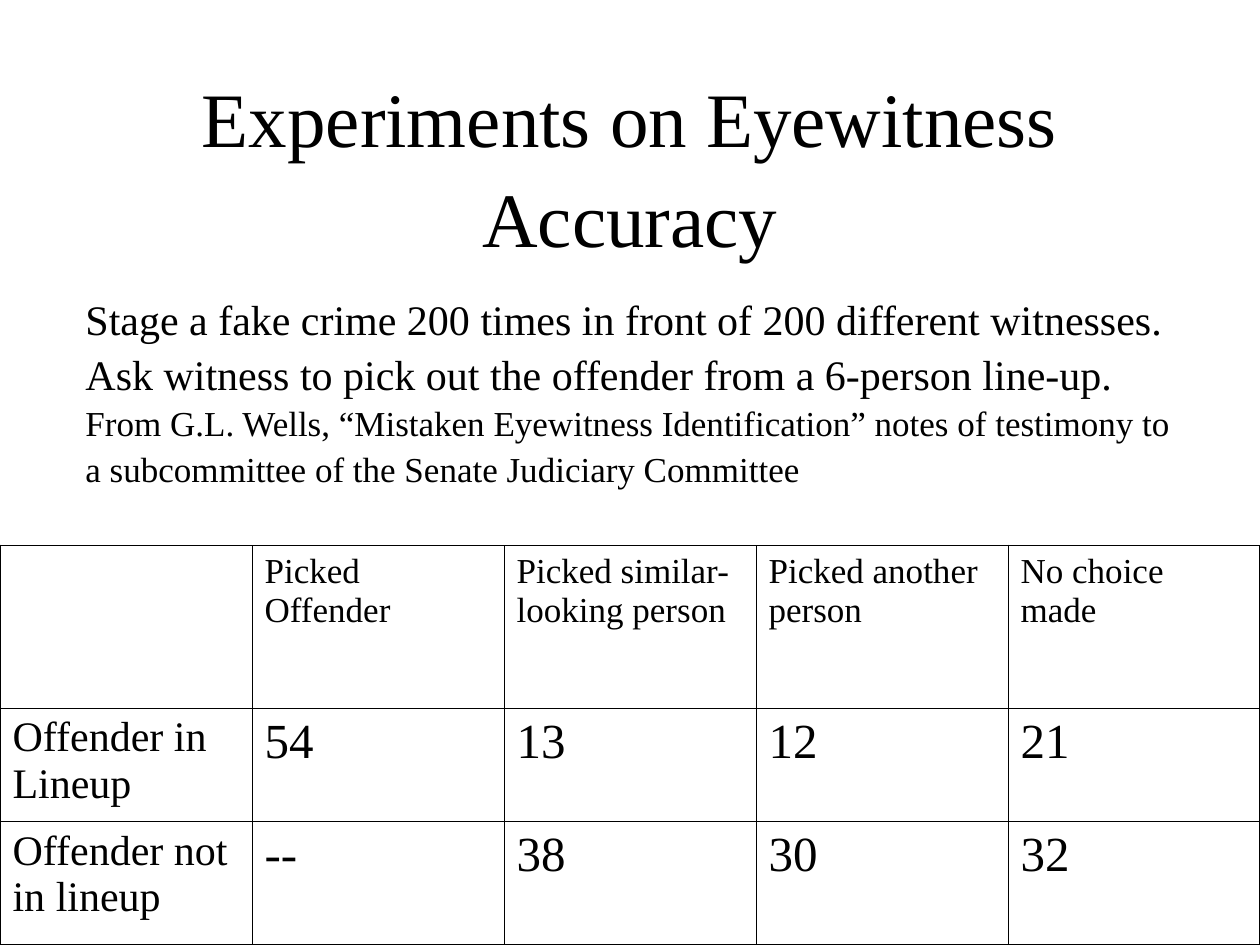
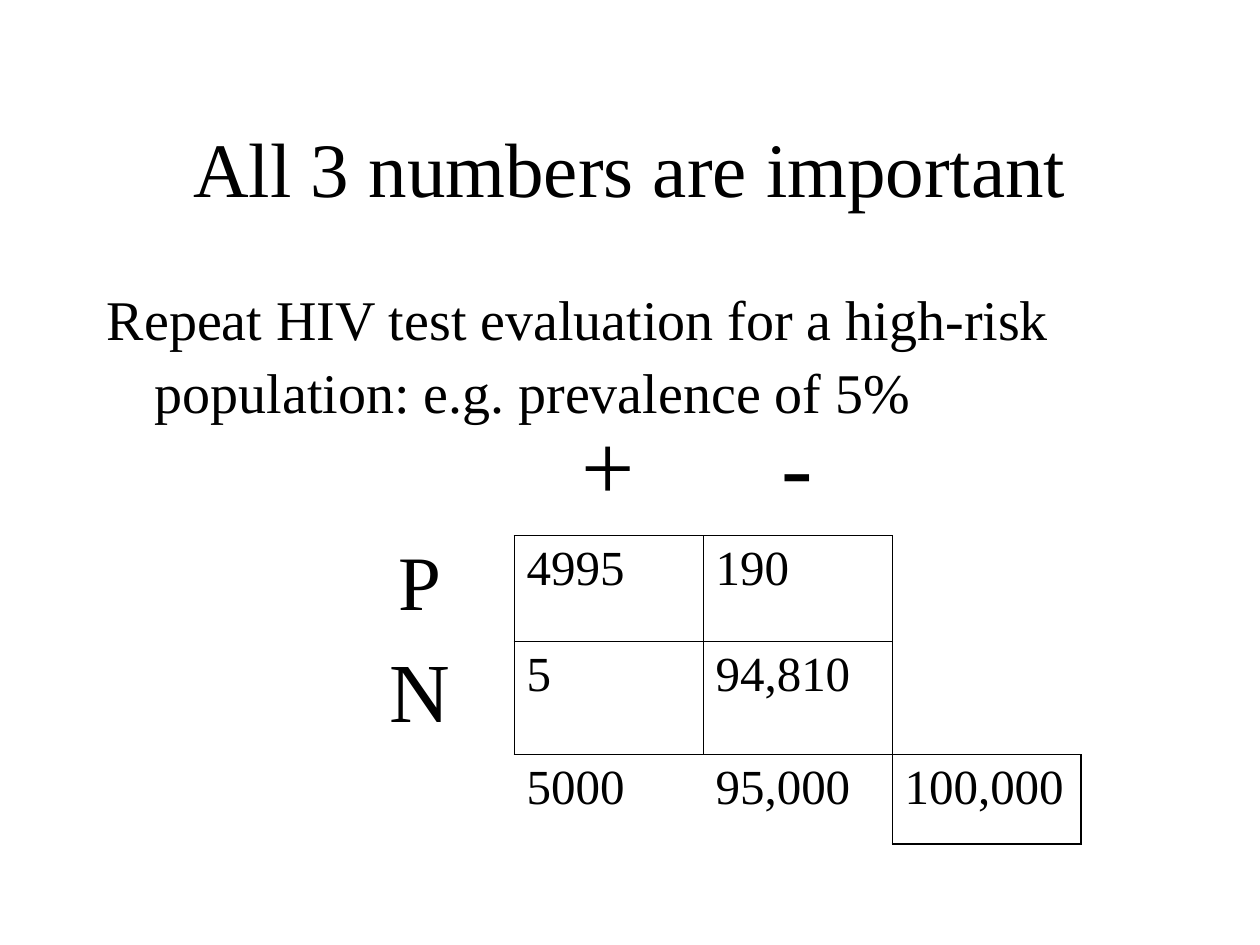
from lxml import etree
from pptx import Presentation
from pptx.dml.color import RGBColor
from pptx.enum.text import MSO_ANCHOR, PP_ALIGN
from pptx.oxml.ns import qn
from pptx.util import Inches, Pt

FONT = "Times New Roman"
INK = RGBColor(0x00, 0x00, 0x00)
PAPER = RGBColor(0xFF, 0xFF, 0xFF)
LEFT, MID = PP_ALIGN.LEFT, PP_ALIGN.CENTER
TOP, CENTER = MSO_ANCHOR.TOP, MSO_ANCHOR.MIDDLE
THIN, THICK = 0.45, 1.08
LEAD = 1.08

# Content: text as (words, size) runs, table cells as (words, size, align)
WITNESS = {
    "title": "Experiments on Eyewitness Accuracy",
    "body": [
        ("Stage a fake crime 200 times in front of 200 different witnesses.  "
         "Ask witness to pick out the offender from a 6-person line-up.  ", 24),
        ("From G.L. Wells, “Mistaken Eyewitness Identification” notes of "
         "testimony to a subcommittee of the Senate Judiciary Committee", 20),
    ],
    "box": (0.58, 2.25, 8.92, 1.57),
    "hang": 0,
    "before": 12.5,
    "at": (0, 4.33),
    "col": 2,
    "rows": [1.29, 0.9, 0.98],
    "cells": [
        [None] + [(head, 20, LEFT) for head in (
            "Picked Offender", "Picked similar-looking person",
            "Picked another person", "No choice made")],
        [("Offender in Lineup", 24, LEFT)]
        + [(count, 28, LEFT) for count in ("54", "13", "12", "21")],
        [("Offender not in lineup", 24, LEFT)]
        + [(count, 28, LEFT) for count in ("--", "38", "30", "32")],
    ],
    "boxed": {(row, col) for row in range(3) for col in range(5)},
    "light": {(0, 1), (0, 2)},
}

HIV = {
    "title": "All 3 numbers are important",
    "body": [("Repeat HIV test evaluation for a high-risk population: "
              "e.g. prevalence of 5%", 32)],
    "box": (0.75, 2.17, 8.5, 4.5),
    "hang": 0.38,
    "before": 8,
    "at": (2.58, 3.25),
    "col": 1.5,
    "rows": [1, 0.84, 0.9, 0.71],
    "cells": [
        [None, ("+", 54, MID), ("-", 54, MID), None],
        [("P", 44, MID), ("4995", 28, LEFT), ("190", 28, LEFT), None],
        [("N", 48, MID), ("5", 28, LEFT), ("94,810", 28, LEFT), None],
        [None] + [(sum_, 28, LEFT) for sum_ in ("5000", "95,000", "100,000")],
    ],
    "boxed": {(1, 1), (1, 2), (2, 1), (2, 2), (3, 3)},
    "light": set(),
}

# Each side of a cell: line tag and step to the neighbour
SIDES = [("a:lnL", 0, -1), ("a:lnR", 0, 1), ("a:lnT", -1, 0), ("a:lnB", 1, 0)]


def add_run(para, words, size):
    run = para.add_run()
    run.text = words
    run.font.name = FONT
    run.font.size = Pt(size)
    run.font.color.rgb = INK


def add_text(slide, box, runs, align=LEFT, anchor=TOP, hang=0, before=0):
    frame = slide.shapes.add_textbox(*map(Inches, box)).text_frame
    frame.word_wrap = True
    frame.vertical_anchor = anchor
    para = frame.paragraphs[0]
    para.alignment = align
    para.line_spacing = LEAD
    para.space_before = Pt(before)
    if hang:
        props = para._p.get_or_add_pPr()
        props.set("marL", str(Inches(hang)))
        props.set("indent", str(-Inches(hang)))
    for words, size in runs:
        add_run(para, words, size)


def add_edge(props, spot, tag, width):
    line = etree.Element(qn(tag), w=str(Pt(width or 0)))
    if width:
        fill = etree.SubElement(line, qn("a:solidFill"))
        etree.SubElement(fill, qn("a:srgbClr"), val=str(INK))
    else:
        etree.SubElement(line, qn("a:noFill"))
    props.insert(spot, line)


def edge_width(data, row, col, down, right):
    """Lines surround boxed cells; the rim of the table is thicker."""
    near = (row + down, col + right)
    if not {(row, col), near} & data["boxed"]:
        return None
    inside = (0 <= near[0] < len(data["rows"])
              and 0 <= near[1] < len(data["cells"][0]))
    return THIN if inside or (row, col) in data["light"] else THICK


def add_grid(slide, data):
    cells, rows = data["cells"], data["rows"]
    wide = len(cells[0])
    left, top = data["at"]
    table = slide.shapes.add_table(
        len(rows), wide, Inches(left), Inches(top),
        Inches(wide * data["col"]), Inches(sum(rows))).table
    table.first_row = table.horz_banding = False
    for col in table.columns:
        col.width = Inches(data["col"])
    for row, high in enumerate(rows):
        table.rows[row].height = Inches(high)
        for col, item in enumerate(cells[row]):
            cell = table.cell(row, col)
            cell.fill.background()
            if item:
                words, size, align = item
                para = cell.text_frame.paragraphs[0]
                para.alignment = align
                para.space_before = Pt(size / 4)
                add_run(para, words, size)
            props = cell._tc.get_or_add_tcPr()
            for spot, (tag, down, right) in enumerate(SIDES):
                width = edge_width(data, row, col, down, right)
                add_edge(props, spot, tag, width)


def add_slide(deck, data):
    slide = deck.slides.add_slide(deck.slide_layouts[6])
    slide.background.fill.solid()
    slide.background.fill.fore_color.rgb = PAPER
    add_text(slide, (0.75, 0.67, 8.5, 1.25), [(data["title"], 44)],
             MID, CENTER)
    add_text(slide, data["box"], data["body"],
             hang=data["hang"], before=data["before"])
    add_grid(slide, data)


def main():
    deck = Presentation()
    deck.slide_width, deck.slide_height = Inches(10), Inches(7.5)
    for data in (WITNESS, HIV):
        add_slide(deck, data)
    deck.save("out.pptx")


if __name__ == "__main__":
    main()
